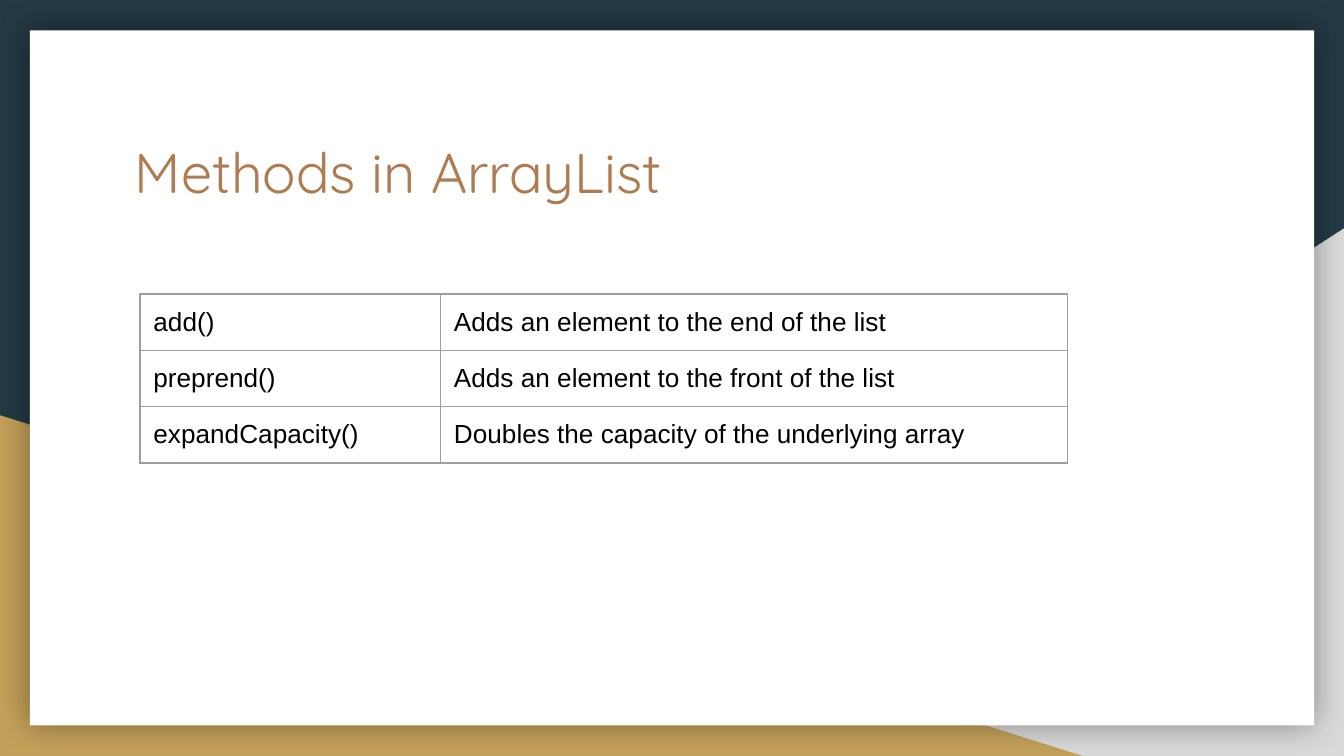
from lxml.etree import SubElement
from pptx import Presentation
from pptx.dml.color import RGBColor
from pptx.enum.shapes import MSO_SHAPE
from pptx.enum.text import MSO_ANCHOR, PP_ALIGN
from pptx.oxml.ns import qn
from pptx.util import Pt

HUES = {"navy": "233A44", "gray": "D9D9D9", "gold": "C4A15A", "white": "FFFFFF",
        "brown": "AF7B51", "black": "000000", "rule": "9E9E9E"}
ROWS = [("add()", "Adds an element to the end of the list"),
        ("preprend()", "Adds an element to the front of the list"),
        ("expandCapacity()", "Doubles the capacity of the underlying array")]
COLS = (161, 336)
ROW = 30.2
INSET = Pt(7.2)


def hue(name):
    return RGBColor.from_string(HUES[name])


def add_block(slide, kind, box, fill):
    block = slide.shapes.add_shape(kind, *map(Pt, box))
    block.shadow.inherit = False
    block.fill.solid()
    block.fill.fore_color.rgb = hue(fill)
    block.line.fill.background()
    return block


def add_glow(block):
    effects = block._element.spPr.find(qn("a:effectLst"))
    glow = SubElement(effects, qn("a:outerShdw"), blurRad=str(Pt(18)),
                      dist="0", dir="0", algn="ctr", rotWithShape="0")
    tint = SubElement(glow, qn("a:srgbClr"), val=HUES["black"])
    SubElement(tint, qn("a:alpha"), val="40000")


def set_text(frame, text, font, size, color):
    frame.text = text
    frame.margin_left = frame.margin_right = INSET
    frame.margin_top = frame.margin_bottom = INSET
    para = frame.paragraphs[0]
    para.alignment = PP_ALIGN.LEFT
    para.font.name = font
    para.font.size = Pt(size)
    para.font.color.rgb = hue(color)


def set_title(slide, text, box):
    title = slide.shapes.title
    title.left, title.top, title.width, title.height = map(Pt, box)
    set_text(title.text_frame, text, "Quicksand", 30, "brown")
    title.text_frame.word_wrap = True
    title.text_frame.vertical_anchor = MSO_ANCHOR.TOP
    # Bring the title in front of the panel
    slide.shapes._spTree.append(title._element)


def set_cell(cell, text):
    set_text(cell.text_frame, text, "Arial", 14, "black")
    cell.margin_left = cell.margin_right = INSET
    cell.margin_top = cell.margin_bottom = INSET
    # Borders come before the fill in the cell properties
    props = cell._tc.get_or_add_tcPr()
    for side in ("lnL", "lnR", "lnT", "lnB"):
        line = SubElement(props, qn(f"a:{side}"), w=str(Pt(0.75)))
        paint = SubElement(line, qn("a:solidFill"))
        SubElement(paint, qn("a:srgbClr"), val=HUES["rule"])
    cell.fill.background()


def add_grid(slide, left, top):
    frame = slide.shapes.add_table(len(ROWS), len(COLS), Pt(left), Pt(top),
                                   Pt(sum(COLS)), Pt(ROW * len(ROWS)))
    table = frame.table
    table.first_row = table.horz_banding = False
    for col, width in zip(table.columns, COLS):
        col.width = Pt(width)
    for row, texts in zip(table.rows, ROWS):
        row.height = Pt(ROW)
        for cell, text in zip(row.cells, texts):
            set_cell(cell, text)


def main():
    deck = Presentation()
    deck.slide_width, deck.slide_height = Pt(720), Pt(405)
    slide = deck.slides.add_slide(deck.slide_layouts[5])

    # Backdrop
    slide.background.fill.solid()
    slide.background.fill.fore_color.rgb = hue("navy")
    right = add_block(slide, MSO_SHAPE.RIGHT_TRIANGLE, (282, 122.4, 438, 282.6), "gray")
    right._element.spPr.xfrm.set("flipH", "1")
    add_block(slide, MSO_SHAPE.RIGHT_TRIANGLE, (0, 222.5, 580, 182.5), "gold")
    panel = add_block(slide, MSO_SHAPE.RECTANGLE, (16, 16.3, 688, 372.4), "white")
    add_glow(panel)

    # Content
    set_title(slide, "Methods in ArrayList", (65, 66.3, 591, 75))
    add_grid(slide, 75, 157.5)
    deck.save("out.pptx")


if __name__ == "__main__":
    main()
